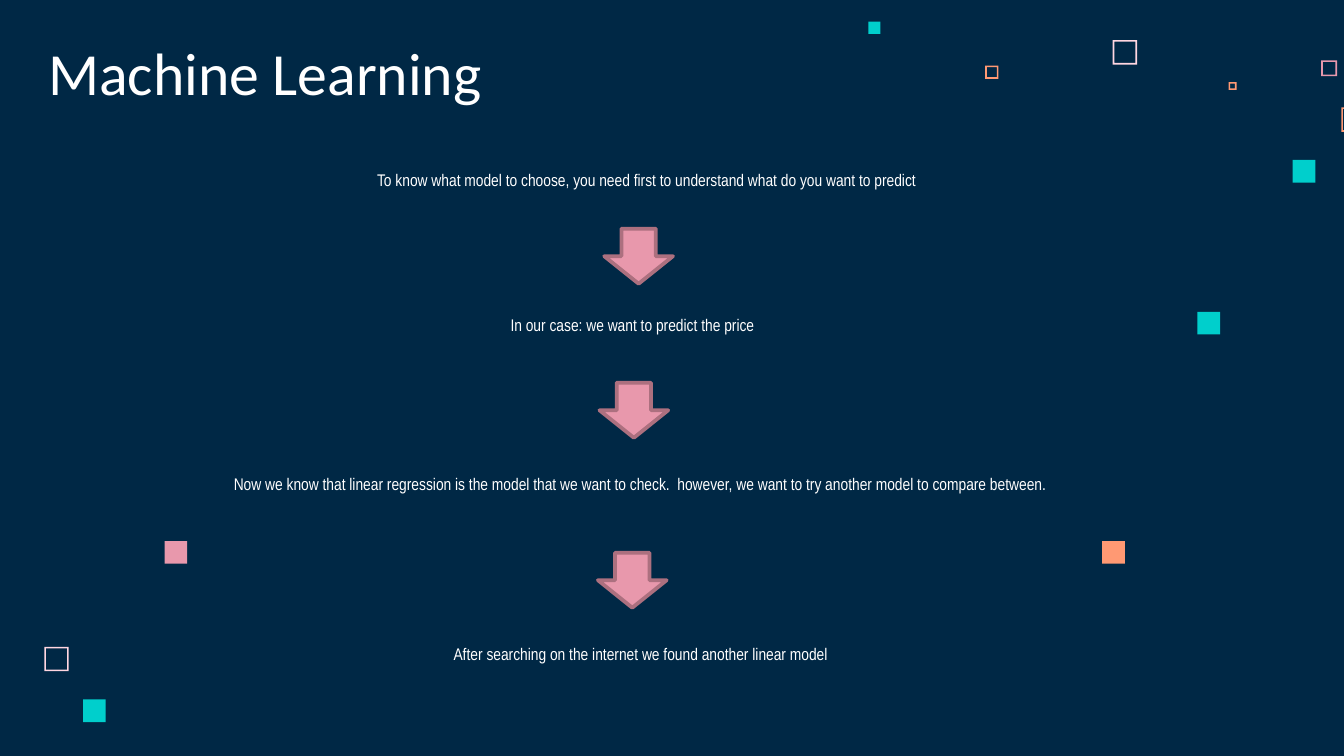
"""Build the Machine Learning slide: a chain of statements joined by arrows."""
import pptx
import pptx.dml.color
import pptx.enum.shapes
import pptx.enum.text
import pptx.util

Cm = pptx.util.Cm
Shape = pptx.enum.shapes.MSO_SHAPE
Align = pptx.enum.text.PP_ALIGN
Anchor = pptx.enum.text.MSO_ANCHOR

NAVY, WHITE, TEAL = "002845", "FFFFFF", "00CFCC"
ORANGE, PINK, BLUSH, MAUVE = "FF9973", "E898AC", "FFD6E1", "AC707F"
FRAME_THICKNESS = 0.03


def paint(color_format, color):
    """Apply a hex colour to a fill or a font colour."""
    if hasattr(color_format, "solid"):
        color_format.solid()
        color_format = color_format.fore_color
    color_format.rgb = pptx.dml.color.RGBColor.from_string(color)


def write(box, place, text, font_name, size, anchor, paragraph_format):
    """Place a text holder and fill it with one formatted paragraph."""
    box.left, box.top, box.width, box.height = [Cm(length) for length in place]
    frame = box.text_frame
    frame_format = {"word_wrap": True, "vertical_anchor": anchor,
                    "auto_size": pptx.enum.text.MSO_AUTO_SIZE.NONE}
    for side in ("left", "top", "right", "bottom"):
        frame_format[f"margin_{side}"] = Cm(0.25)
    for name, value in frame_format.items():
        setattr(frame, name, value)
    para = frame.paragraphs[0]
    for name, value in paragraph_format.items():
        setattr(para, name, value)
    span = para.add_run()
    span.text = text
    for name, value in {"name": font_name, "size": pptx.util.Pt(size)}.items():
        setattr(span.font, name, value)
    paint(span.font.color, WHITE)
    return para


deck = pptx.Presentation()
deck.slide_width, deck.slide_height = Cm(25.4), Cm(14.28)
page = deck.slides.add_slide(deck.slide_layouts[0])
paint(page.background.fill, NAVY)

squares = [
    (Shape.FRAME, 21.03, 0.76, 0.46, BLUSH),
    (Shape.FRAME, 24.97, 1.14, 0.3, PINK),
    (Shape.FRAME, 23.22, 1.55, 0.15, ORANGE),
    (Shape.FRAME, 25.35, 2.03, 0.46, ORANGE),
    (Shape.FRAME, 18.62, 1.24, 0.25, ORANGE),
    (Shape.FRAME, 0.84, 12.22, 0.46, BLUSH),
    (Shape.RECTANGLE, 24.43, 3.02, 0.43, TEAL),
    (Shape.RECTANGLE, 16.41, 0.41, 0.23, TEAL),
    (Shape.RECTANGLE, 1.57, 13.21, 0.43, TEAL),
    (Shape.RECTANGLE, 22.63, 5.89, 0.43, TEAL),
    (Shape.RECTANGLE, 20.83, 10.22, 0.43, ORANGE),
    (Shape.RECTANGLE, 3.11, 10.22, 0.43, PINK),
]
for kind, left, top, size, color in squares:
    square = page.shapes.add_shape(kind, Cm(left), Cm(top), Cm(size), Cm(size))
    square.shadow.inherit = False
    paint(square.fill, color)
    square.line.fill.background()
    if kind == Shape.FRAME:
        square.adjustments[0] = FRAME_THICKNESS / size

write(page.shapes.title, (0.66, 0.69, 13.13, 1.6), "Machine Learning",
      "Calibri", 32, Anchor.BOTTOM, {"alignment": Align.LEFT})

statements = [
    (1.42, 2.9, 21.29, "To know what model to choose, you need first to understand what do you want to predict"),
    (2.34, 5.64, 18.92, "In our case: we want to predict the price"),
    (0.23, 8.64, 23.42, "Now we know that linear regression is the model that we want to check.  "
                        "however, we want to try another model to compare between."),
    (2.57, 11.86, 18.77, "After searching on the internet we found another linear model"),
]
statement_format = {"alignment": Align.CENTER, "line_spacing": 1.15,
                    "space_before": pptx.util.Pt(0)}
for index, (left, top, width, text) in enumerate(statements):
    box = page.placeholders[1] if index == 0 else page.shapes.add_textbox(0, 0, 0, 0)
    para = write(box, (left, top, width, 1.8), text,
                 "Arial Narrow", 9, Anchor.TOP, statement_format)
    properties = para._p.get_or_add_pPr()
    properties.set("marL", str(Cm(0.3)))
    properties.set("indent", "0")

for left, top in [(11.42, 4.32), (11.33, 7.23), (11.3, 10.44)]:
    arrow = page.shapes.add_shape(Shape.DOWN_ARROW, Cm(left), Cm(top), Cm(1.3), Cm(1.04))
    arrow.shadow.inherit = False
    paint(arrow.fill, PINK)
    paint(arrow.line.fill, MAUVE)
    arrow.line.width = pptx.util.Pt(2)

deck.save("out.pptx")
